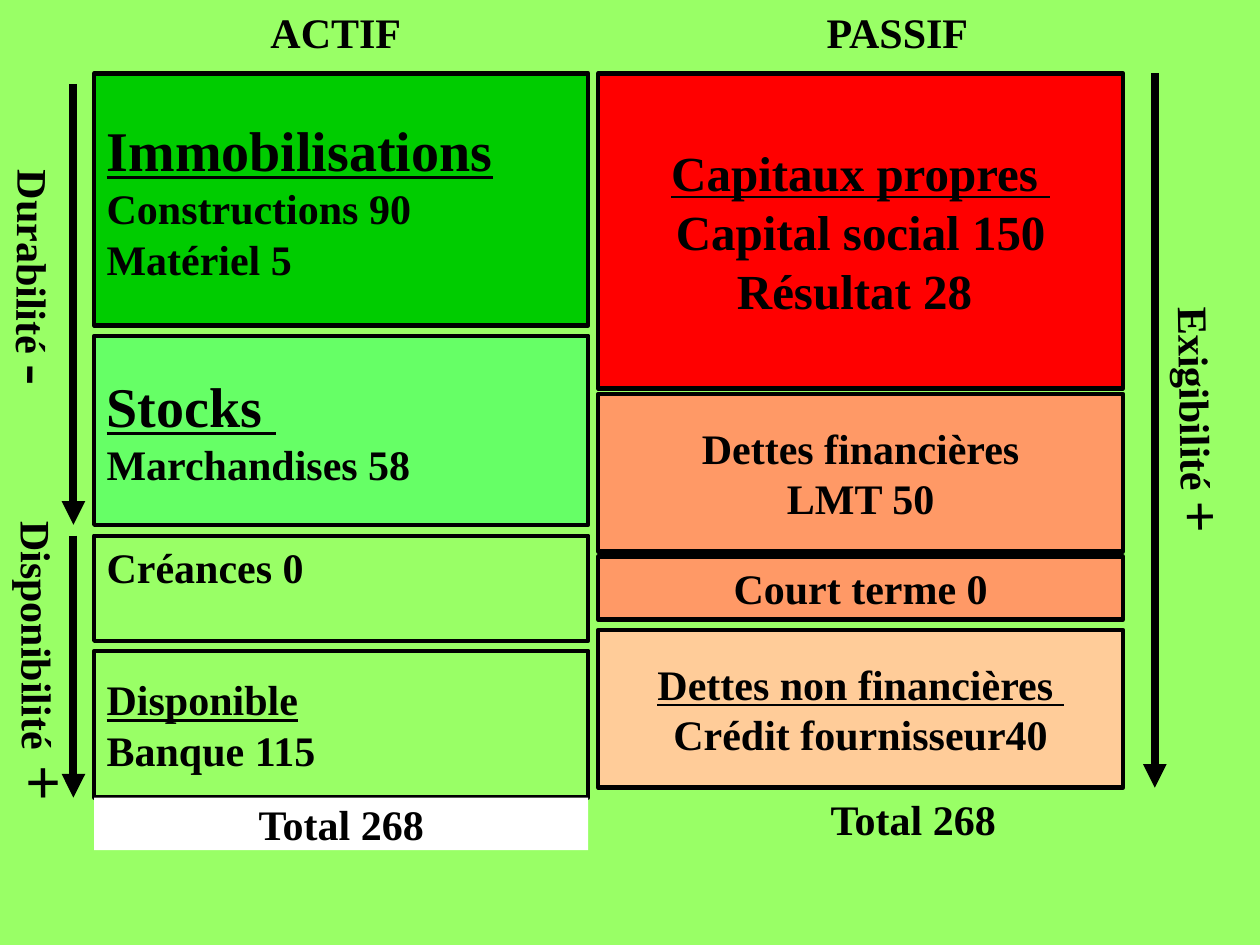
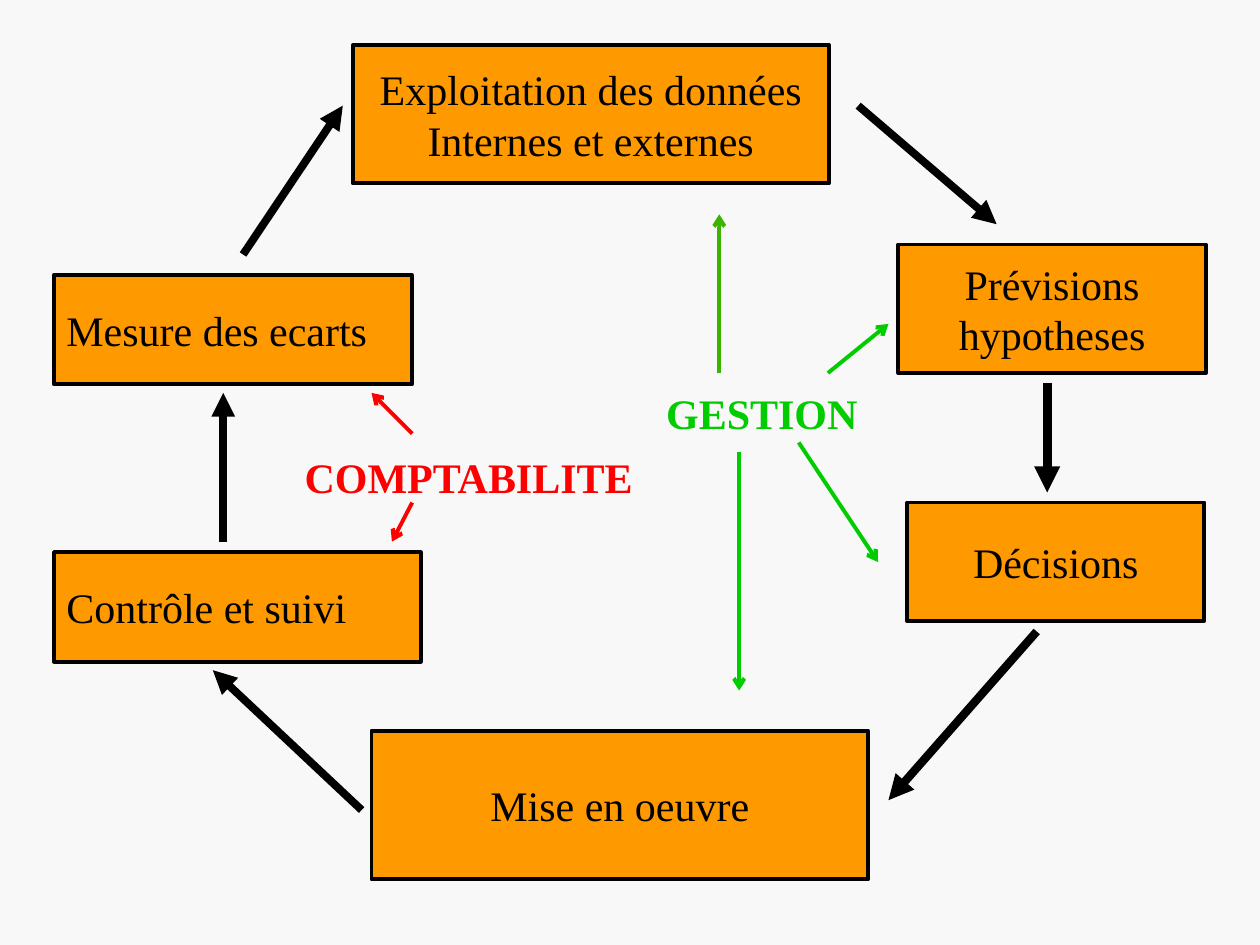
from lxml import etree
from pptx import Presentation
from pptx.dml.color import RGBColor
from pptx.enum.shapes import MSO_CONNECTOR, MSO_SHAPE
from pptx.enum.text import MSO_ANCHOR, PP_ALIGN
from pptx.oxml.ns import qn
from pptx.util import Cm, Pt

RECTANGLE = MSO_SHAPE.RECTANGLE
STRAIGHT = MSO_CONNECTOR.STRAIGHT
LEFT, CENTER = PP_ALIGN.LEFT, PP_ALIGN.CENTER
TOP, MIDDLE = MSO_ANCHOR.TOP, MSO_ANCHOR.MIDDLE

FONT = "Times New Roman"
BLACK = RGBColor(0x00, 0x00, 0x00)
WHITE = RGBColor(0xFF, 0xFF, 0xFF)
RED = RGBColor(0xFF, 0x00, 0x00)
GREEN = RGBColor(0x00, 0xCC, 0x00)
DARK_GREEN = RGBColor(0x3C, 0xB3, 0x00)
MINT = RGBColor(0x66, 0xFF, 0x66)
LIME = RGBColor(0x99, 0xFF, 0x66)
SALMON = RGBColor(0xFF, 0x99, 0x66)
PEACH = RGBColor(0xFF, 0xCC, 0x99)
ORANGE = RGBColor(0xFF, 0x99, 0x00)
PALE_GREY = RGBColor(0xF8, 0xF8, 0xF8)


def add_text(slide, frame, lines, size=24, heading_size=None, bold=True,
             color=BLACK, align=CENTER, fill=None, border=None):
    """Add a filled box, or a plain text box without fill; frame is in cm.

    With heading_size, the first line is underlined and takes that size.
    """
    place = [Cm(length) for length in frame]
    if fill is None:
        box = slide.shapes.add_textbox(*place)
    else:
        box = slide.shapes.add_shape(RECTANGLE, *place)
        box.shadow.inherit = False
        box.fill.solid()
        box.fill.fore_color.rgb = fill
        if border:
            box.line.color.rgb = BLACK
            box.line.width = Pt(border)
        else:
            box.line.fill.background()
    frame_text = box.text_frame
    frame_text.text = "\n".join(lines)
    frame_text.word_wrap = True
    frame_text.vertical_anchor = MIDDLE
    for number, paragraph in enumerate(frame_text.paragraphs):
        is_heading = heading_size is not None and number == 0
        paragraph.alignment = align
        font = paragraph.runs[0].font
        font.name = FONT
        font.size = Pt(heading_size if is_heading else size)
        font.bold = bold
        font.underline = is_heading
        font.color.rgb = color
    return box


def add_arrow(slide, points, width=4.5, color=BLACK, head="triangle"):
    arrow = slide.shapes.add_connector(STRAIGHT, *[Cm(value) for value in points])
    arrow.line.color.rgb = color
    arrow.line.width = Pt(width)
    outline = arrow.line._get_or_add_ln()
    etree.SubElement(outline, qn("a:tailEnd"), type=head)
    etree.SubElement(arrow._element.spPr, qn("a:effectLst"))


prs = Presentation()
prs.slide_width, prs.slide_height = Cm(25.4), Cm(19.05)
blank = prs.slide_layouts[6]

# Balance sheet
balance = prs.slides.add_slide(blank)
balance.background.fill.solid()
balance.background.fill.fore_color.rgb = LIME

ASSETS_X, ASSETS_W = 1.9, 9.96
assets = [  # top, height, fill, heading size, lines
    (1.48, 5.08, GREEN, 32, ["Immobilisations", "Constructions 90", "Matériel 5"]),
    (6.77, 3.81, MINT, 32, ["Stocks ", "Marchandises 58"]),
    (10.8, 2.12, LIME, None, ["Créances 0"]),
    (13.12, 2.96, LIME, 24, ["Disponible", "Banque 115"]),
]
for top, height, fill, heading_size, lines in assets:
    asset = add_text(balance, (ASSETS_X, top, ASSETS_W, height), lines,
                     heading_size=heading_size, align=LEFT, fill=fill, border=2.5)
    if lines == ["Créances 0"]:
        asset.text_frame.vertical_anchor = TOP

LIABILITIES_X, LIABILITIES_W = 12.06, 10.58
liabilities = [  # top, height, fill, size, heading size, lines
    (1.48, 6.35, RED, 28, 28,
     ["Capitaux propres ", "Capital social 150", "Résultat 28 "]),
    (7.94, 3.18, SALMON, 24, None, ["Dettes financières", "LMT 50"]),
    (11.22, 1.27, SALMON, 24, None, ["Court terme 0"]),
    (12.7, 3.18, PEACH, 24, 24, ["Dettes non financières ", "Crédit fournisseur40"]),
]
for top, height, fill, size, heading_size, lines in liabilities:
    add_text(balance, (LIABILITIES_X, top, LIABILITIES_W, height), lines,
             size=size, heading_size=heading_size, fill=fill, border=2.5)

add_text(balance, (2.54, 0, 8.46, 1.27), ["ACTIF"])
add_text(balance, (15.45, 0, 5.28, 1.27), ["PASSIF"])
add_text(balance, (ASSETS_X, 16.08, ASSETS_W, 1.06), ["Total 268"], fill=WHITE)
add_text(balance, (13.12, 16.08, LIABILITIES_W, 0.85), ["Total 268"])

scales = [  # label frame, rotation, label, sign, sign size, arrow x, start, end
    ((-3.07, 5.18, 7.83, 0.85), 90.5, "Durabilité ", "-", 36, 1.48, 1.69, 10.58),
    ((-2.87, 12.8, 7.62, 1.06), 89.7, "Disponibilité", " +", 36, 1.48, 10.8, 16.08),
    ((18.52, 7.94, 11.43, 1.06), 89, "Exigibilité ", "+", 32, 23.28, 1.48, 15.88),
]
for frame, rotation, label, sign, sign_size, x, start, end in scales:
    add_arrow(balance, (x, start, x, end))
    scale = add_text(balance, frame, [label])
    scale.rotation = rotation
    sign_run = scale.text_frame.paragraphs[0].add_run()
    sign_run.text = sign
    sign_run.font.name = FONT
    sign_run.font.size = Pt(sign_size)
    sign_run.font.bold = True
    sign_run.font.color.rgb = BLACK

# Management cycle
cycle = prs.slides.add_slide(blank)
cycle.background.fill.solid()
cycle.background.fill.fore_color.rgb = PALE_GREY

steps = [
    ((7.11, 0.91, 9.6, 2.79), CENTER, ["Exploitation des données", "Internes et externes"]),
    ((18.11, 4.93, 6.2, 2.59), CENTER, ["Prévisions", "hypotheses"]),
    ((18.29, 10.13, 5.99, 2.39), CENTER, ["Décisions"]),
    ((7.49, 14.73, 10.01, 3), CENTER, ["Mise en oeuvre"]),
    ((1.09, 11.13, 7.39, 2.21), LEFT, ["Contrôle et suivi"]),
    ((1.09, 5.54, 7.21, 2.21), LEFT, ["Mesure des ecarts"]),
]
for frame, align, lines in steps:
    add_text(cycle, frame, lines, bold=False, align=align, fill=ORANGE, border=2.25)

step_arrows = [  # start x, start y, end x, end y, width
    (17.3, 2.13, 20.09, 4.52, 4.5),
    (21.11, 7.72, 21.11, 9.93, 5),
    (20.9, 12.73, 17.91, 16.13, 4.75),
    (7.29, 16.33, 4.29, 13.51, 4.5),
    (4.5, 10.92, 4.5, 7.92, 4.5),
    (4.9, 5.13, 6.91, 2.13, 4.5),
]
for *points, width in step_arrows:
    add_arrow(cycle, points, width)

add_text(cycle, (13.18, 7.82, 4.6, 1), ["GESTION"], color=GREEN, align=LEFT)
add_text(cycle, (5.89, 9.12, 7.2, 1), ["COMPTABILITE"], color=RED, align=LEFT)

role_arrows = [
    (14.5, 7.52, 14.5, 4.32, DARK_GREEN),
    (16.69, 7.52, 17.91, 6.53, GREEN),
    (16.1, 8.92, 17.7, 11.33, GREEN),
    (14.9, 9.12, 14.9, 13.92, GREEN),
    (8.31, 8.74, 7.49, 7.92, RED),
    (8.31, 10.13, 7.9, 10.92, RED),
]
for *points, color in role_arrows:
    add_arrow(cycle, points, 2.25, color, "arrow")

prs.save("out.pptx")
